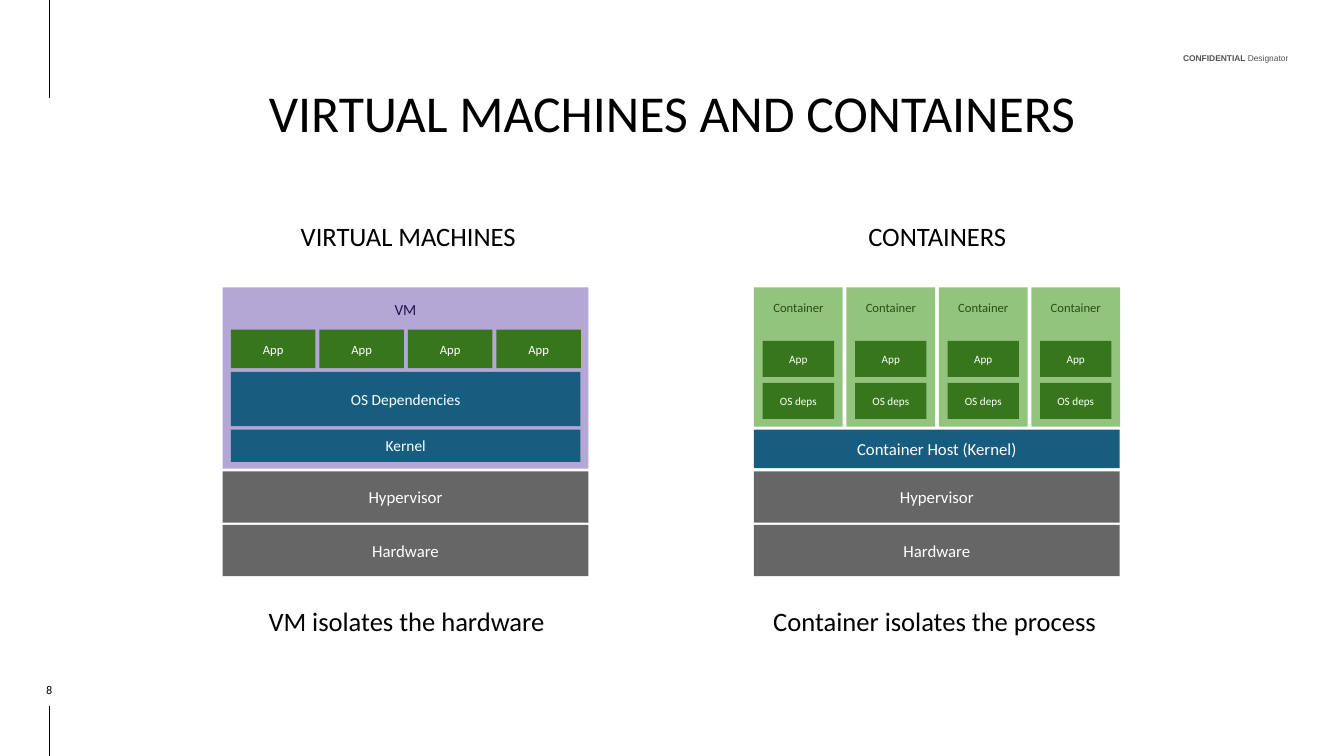
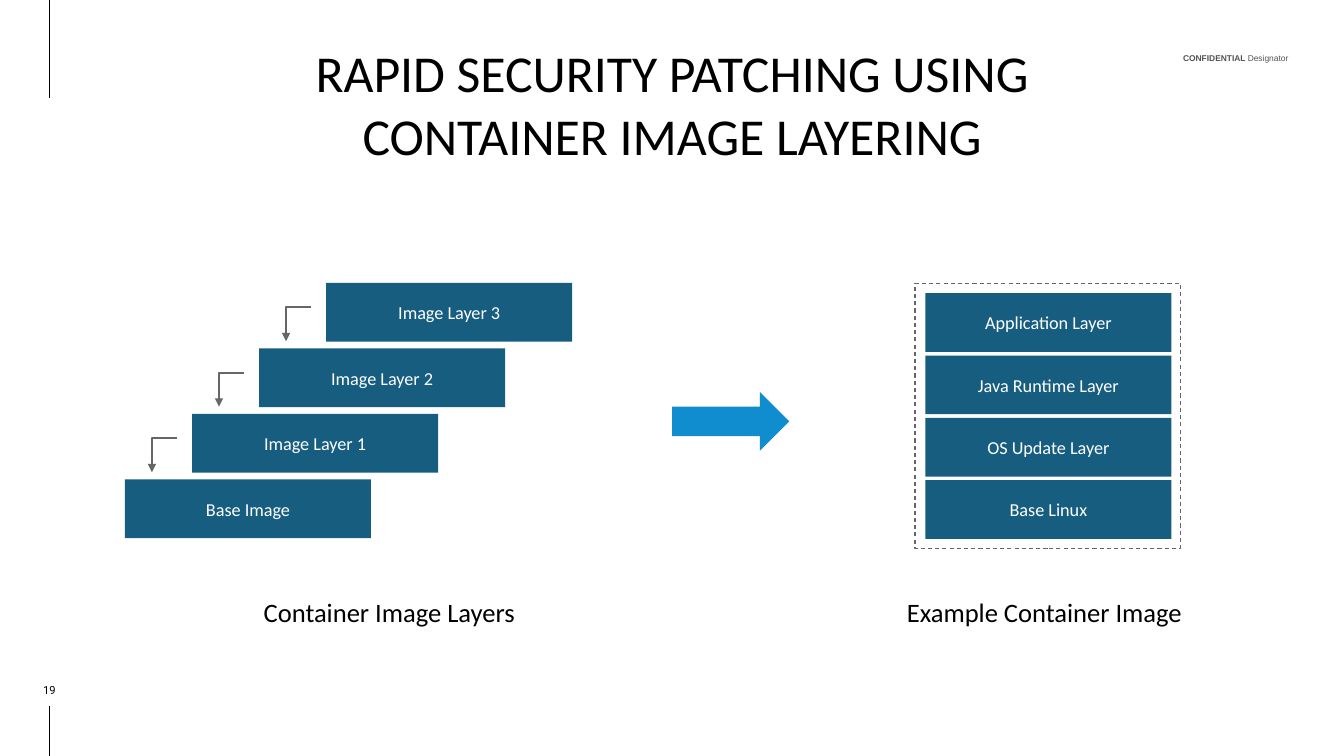
from dataclasses import dataclass

from lxml import etree
from pptx import Presentation
from pptx.dml.color import RGBColor
from pptx.enum.dml import MSO_LINE
from pptx.enum.shapes import MSO_CONNECTOR, MSO_SHAPE
from pptx.enum.text import MSO_ANCHOR, MSO_AUTO_SIZE, PP_ALIGN
from pptx.oxml.ns import qn
from pptx.util import Cm, Pt

RECT, ARROW = MSO_SHAPE.RECTANGLE, MSO_SHAPE.RIGHT_ARROW
LINE, DASH = MSO_CONNECTOR.STRAIGHT, MSO_LINE.DASH
TOP, MID, LOW = MSO_ANCHOR.TOP, MSO_ANCHOR.MIDDLE, MSO_ANCHOR.BOTTOM
MIDDLE, RIGHT = PP_ALIGN.CENTER, PP_ALIGN.RIGHT
NOFIT = MSO_AUTO_SIZE.NONE


# Colours, fonts and type sizes
@dataclass(frozen=True)
class Theme:
    font: str = "Calibri"
    mark_font: str = "Arial"
    page_font: str = "Roboto"
    black: str = "000000"
    white: str = "FFFFFF"
    mark: str = "535353"
    gray: str = "666666"
    blue: str = "165D80"
    bright: str = "0F8DCE"
    green: str = "38761D"
    pale: str = "93C47D"
    forest: str = "274E13"
    lilac: str = "B4A7D6"
    navy: str = "20124D"
    title: int = 37
    head: int = 19
    layer: int = 13
    base: int = 12
    inner: int = 11
    app: int = 9
    small: int = 8
    tiny: int = 6
    pad: float = 0.33


class Deck:
    def __init__(self, theme):
        self.theme = theme
        self.prs = Presentation()
        self.prs.slide_width, self.prs.slide_height = Cm(33.87), Cm(19.05)
        self.slide = None

    def frame(self, shape, anchor, pad):
        frame = shape.text_frame
        frame.word_wrap = True
        frame.auto_size = NOFIT
        frame.vertical_anchor = anchor
        frame.margin_left = frame.margin_right = Cm(pad)
        frame.margin_top = frame.margin_bottom = Cm(pad)
        return frame.paragraphs[0]

    def style(self, para, size, color, font=None, align=MIDDLE):
        para.alignment = align
        para.font.name = font or self.theme.font
        para.font.size = Pt(size)
        para.font.color.rgb = RGBColor.from_string(color)

    def start(self, title, top, page):
        """Add a slide with its title, rules, mark and page number."""
        look = self.theme
        self.slide = self.prs.slides.add_slide(self.prs.slide_layouts[5])
        head = self.slide.shapes.title
        head.left, head.top = Cm(3.07), Cm(top)
        head.width, head.height = Cm(27.74), Cm(3.94)
        para = self.frame(head, LOW, look.pad)
        para.text = title
        self.style(para, look.title, look.black)

        for start, end in ((0, 2.46), (17.78, 19.05)):
            self.rule(1.24, start, end)
        para = self.text("", 27.97, 0.76, 4.5, 0.84, look.tiny, look.mark,
                         look.mark_font, LOW, 0, RIGHT)
        para.line_spacing = 1.5
        for word, bold in (("CONFIDENTIAL ", True), ("Designator", False)):
            run = para.add_run()
            run.text, run.font.bold = word, bold
        self.text(str(page), 0.23, 17.15, 2.03, 0.41, look.small, look.black,
                  look.page_font, LOW, 0)

    def rule(self, x, start, end):
        line = self.slide.shapes.add_connector(
            LINE, Cm(x), Cm(start), Cm(x), Cm(end))
        line.line.color.rgb = RGBColor.from_string(self.theme.black)
        line.line.width = Pt(0.75)
        etree.SubElement(line.element.spPr, qn("a:effectLst"))

    def text(self, text, x, y, w, h, size, color, font=None, anchor=TOP,
             pad=None, align=MIDDLE):
        box = self.slide.shapes.add_textbox(Cm(x), Cm(y), Cm(w), Cm(h))
        para = self.frame(box, anchor, self.theme.pad if pad is None else pad)
        if text:
            para.text = text
        self.style(para, size, color, font, align)
        return para

    def label(self, text, x, y, w, h):
        self.text(text, x, y, w, h, self.theme.head, self.theme.black)

    def shape(self, kind, x, y, w, h, fill=None):
        item = self.slide.shapes.add_shape(kind, Cm(x), Cm(y), Cm(w), Cm(h))
        item.shadow.inherit = False
        item.line.fill.background()
        if fill:
            item.fill.solid()
            item.fill.fore_color.rgb = RGBColor.from_string(fill)
        else:
            item.fill.background()
        return item

    def block(self, text, x, y, w, h, fill, size, color=None, anchor=MID):
        item = self.shape(RECT, x, y, w, h, fill)
        para = self.frame(item, anchor, self.theme.pad)
        para.text = text
        self.style(para, size, color or self.theme.white)

    def dashed(self, x, y, w, h):
        line = self.shape(RECT, x, y, w, h).line
        line.color.rgb = RGBColor.from_string(self.theme.gray)
        line.width = Pt(0.75)
        line.dash_style = DASH

    def elbow(self, x, y, w, h):
        """Draw a bent arrow that runs left, then down."""
        pen = self.slide.shapes.build_freeform(Cm(x + w), Cm(y))
        pen.add_line_segments(
            [(Cm(x), Cm(y)), (Cm(x), Cm(y + h))], close=False)
        bend = pen.convert_to_shape()
        bend.shadow.inherit = False
        bend.fill.background()
        bend.line.color.rgb = RGBColor.from_string(self.theme.gray)
        bend.line.width = Pt(1.5)
        line = bend.element.spPr.find(qn("a:ln"))
        etree.SubElement(line, qn("a:tailEnd"), type="triangle")


def compare(deck):
    look = deck.theme
    deck.start("VIRTUAL MACHINES AND CONTAINERS", 0, 8)
    deck.label("VIRTUAL MACHINES", 6.58, 5.21, 7.42, 1.3)
    deck.label("CONTAINERS", 20.32, 5.21, 6.6, 1.3)
    deck.label("VM isolates the hardware", 5.05, 14.91, 10.39, 1.6)
    deck.label("Container isolates the process", 18.36, 14.91, 10.39, 1.6)

    # Shared base of both stacks
    left, right, wide, top = 5.61, 19, 9.22, 7.24
    for x in (left, right):
        for row, name in enumerate(("Hypervisor", "Hardware")):
            deck.block(name, x, 11.88 + 1.35 * row, wide, 1.29,
                       look.gray, look.base)

    # Virtual machine
    deck.block("VM", left, top, wide, 4.57, look.lilac, look.inner,
               look.navy, TOP)
    inner = left + 0.21
    for col in range(4):
        deck.block("App", inner + 2.23 * col, 8.31, 2.13, 0.97,
                   look.green, look.app)
    for name, y, high in (("OS Dependencies", 9.37, 1.37),
                          ("Kernel", 10.83, 0.81)):
        deck.block(name, inner, y, 8.81, high, look.blue, look.inner)

    # Containers on their host
    deck.block("Container Host (Kernel)", right, 10.83, wide, 0.97,
               look.blue, look.base)
    for col in range(4):
        x = right + 2.33 * col
        deck.block("Container", x, top, 2.24, 3.51, look.pale, look.app,
                   look.forest, TOP)
        for row, name in enumerate(("App", "OS deps")):
            deck.block(name, x + 0.22, 8.59 + 1.06 * row, 1.8, 0.91,
                       look.green, look.small)


def layers(deck):
    look = deck.theme
    wide, high = 6.2, 1.48
    deck.start("RAPID SECURITY PATCHING USING\vCONTAINER IMAGE LAYERING",
               0.56, 19)

    # Steps of image layers, from the base up
    steps = ("Base Image", "Image Layer 1", "Image Layer 2", "Image Layer 3")
    for step, name in enumerate(steps):
        x, y = 3.15 + 1.69 * step, 12.08 - 1.65 * step
        deck.block(name, x, y, wide, high, look.blue, look.layer)
        if step:
            deck.elbow(x - 1.01, y + 0.61, 0.64, 0.86)

    deck.shape(ARROW, 16.94, 9.88, 2.95, high, look.bright)

    # Example image
    deck.dashed(23.06, 7.14, 6.68, 6.68)
    stack = ("Application Layer", "Java Runtime Layer", "OS Update Layer",
             "Base Linux")
    for row, name in enumerate(stack):
        deck.block(name, 23.32, 7.39 + 1.57 * row, wide, high,
                   look.blue, look.layer)

    deck.label("Container Image Layers", 5.72, 14.68, 8.18, 1.47)
    deck.label("Example Container Image", 21.39, 14.68, 9.86, 1.47)


def main():
    deck = Deck(Theme())
    compare(deck)
    layers(deck)
    deck.prs.save("out.pptx")


if __name__ == "__main__":
    main()
